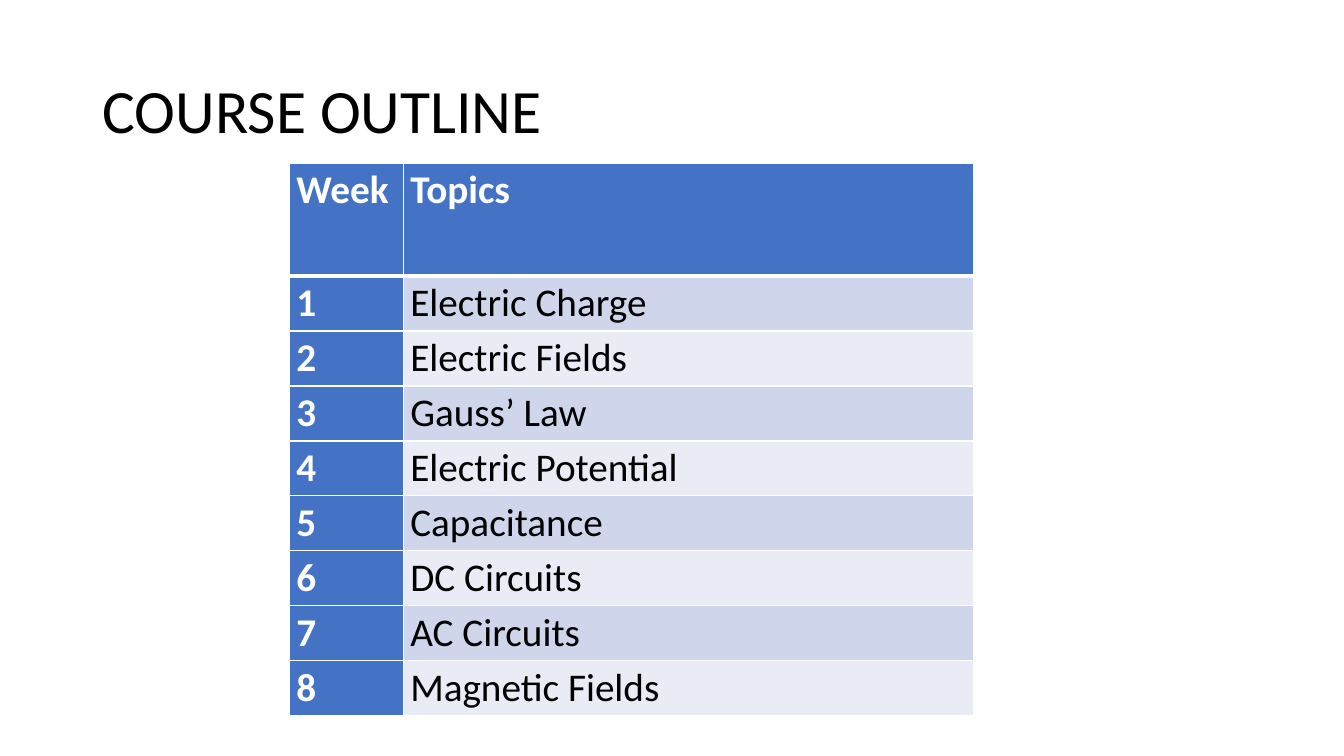
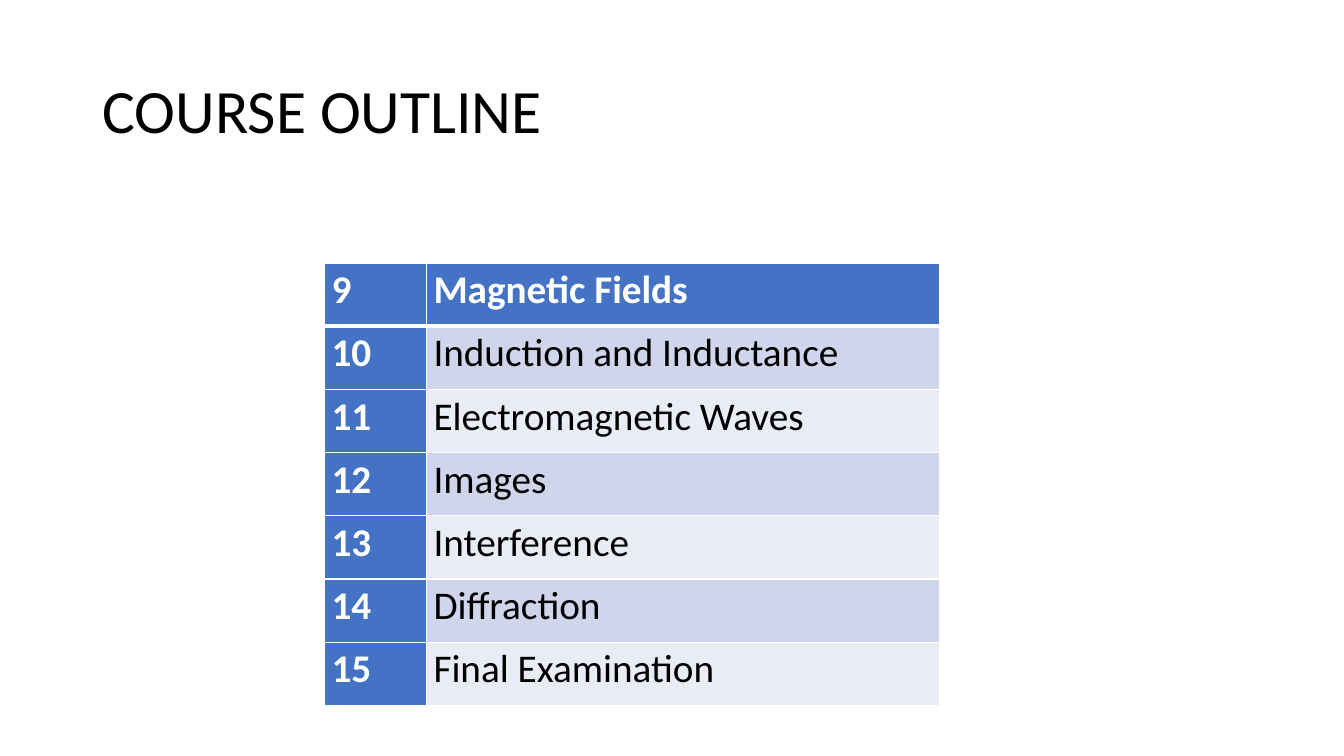
from lxml import etree
from pptx import Presentation
from pptx.dml.color import RGBColor
from pptx.enum.text import MSO_ANCHOR, PP_ALIGN
from pptx.oxml.ns import qn
from pptx.util import Inches, Pt

MIDDLE, TOP = MSO_ANCHOR.MIDDLE, MSO_ANCHOR.TOP
LEFT = PP_ALIGN.LEFT

FONT = "Calibri"
COLORS = {
    "text": "000000",
    "white": "FFFFFF",
    "accent": "4472C4",
    "odd_band": "CFD5EA",
    "even_band": "E9EBF5",
}
THIN, THICK = 1, 3

TITLE = "COURSE OUTLINE"
FIRST_HALF = [
    ("Week", "Topics"),
    ("1", "Electric Charge"),
    ("2", "Electric Fields"),
    ("3", "Gauss’ Law"),
    ("4", "Electric Potential"),
    ("5", "Capacitance"),
    ("6", "DC Circuits"),
    ("7", "AC Circuits"),
    ("8", "Magnetic Fields"),
]
SECOND_HALF = [
    ("9", "Magnetic Fields"),
    ("10", "Induction and Inductance"),
    ("11", "Electromagnetic Waves"),
    ("12", "Images"),
    ("13", "Interference"),
    ("14", "Diffraction"),
    ("15", "Final Examination"),
]


def rgb(name):
    return RGBColor.from_string(COLORS[name])


def write_text(frame, text, *, size, color="text", bold=False,
               line_spacing=1.0, space_after=0):
    paragraph = frame.paragraphs[0]
    paragraph.alignment = LEFT
    paragraph.line_spacing = line_spacing
    paragraph.space_after = Pt(space_after)
    run = paragraph.add_run()
    run.text = text
    run.font.name = FONT
    run.font.size = Pt(size)
    run.font.bold = bold
    run.font.color.rgb = rgb(color)


def add_title(slide, text):
    title = slide.shapes.add_textbox(
        Inches(0.92), Inches(0.4), Inches(11.5), Inches(1.45))
    frame = title.text_frame
    frame.word_wrap = True
    frame.vertical_anchor = MIDDLE
    write_text(frame, text, size=44, line_spacing=0.9)


def set_borders(cell, top, bottom):
    properties = cell._tc.get_or_add_tcPr()
    widths = {"a:lnL": THIN, "a:lnR": THIN, "a:lnT": top, "a:lnB": bottom}
    for tag, width in widths.items():
        line = etree.SubElement(properties, qn(tag), w=str(Pt(width)))
        fill = etree.SubElement(line, qn("a:solidFill"))
        etree.SubElement(fill, qn("a:srgbClr"), val=COLORS["white"])


def format_cell(cell, text, row, column):
    # Header row and week column share the accent; topics alternate
    heading = row == 0 or column == 0
    band = "odd_band" if row % 2 else "even_band"
    set_borders(cell, top=THICK if row == 1 else THIN,
                bottom=THICK if row == 0 else THIN)
    cell.fill.solid()
    cell.fill.fore_color.rgb = rgb("accent" if heading else band)
    cell.margin_left = cell.margin_right = Inches(0.07)
    cell.margin_top = cell.margin_bottom = 0
    cell.vertical_anchor = TOP
    write_text(cell.text_frame, text, size=28, bold=heading,
               color="white" if heading else "text",
               line_spacing=1.07, space_after=8)


def add_outline_table(slide, entries, left, top, column_widths, height,
                      header_height=None):
    frame = slide.shapes.add_table(
        len(entries), len(column_widths), Inches(left), Inches(top),
        Inches(sum(column_widths)), Inches(height))
    table = frame.table
    table.first_col = True
    for column, width in zip(table.columns, column_widths):
        column.width = Inches(width)

    # A taller header leaves the rest to be shared equally
    if header_height:
        row_height = (height - header_height) / (len(entries) - 1)
        for row in table.rows:
            row.height = Inches(row_height)
        table.rows[0].height = Inches(header_height)

    for row, entry in enumerate(entries):
        for column, text in enumerate(entry):
            format_cell(table.cell(row, column), text, row, column)


def add_outline_slide(presentation, entries, **layout):
    slide = presentation.slides.add_slide(presentation.slide_layouts[6])
    add_title(slide, TITLE)
    add_outline_table(slide, entries, **layout)


def main():
    presentation = Presentation()
    presentation.slide_width = Inches(13.33)
    presentation.slide_height = Inches(7.5)

    # Weeks 1 to 8
    add_outline_slide(presentation, FIRST_HALF, left=2.87, top=1.62,
                      column_widths=(1.13, 5.66), height=5.48,
                      header_height=1.12)
    # Weeks 9 to 15
    add_outline_slide(presentation, SECOND_HALF, left=3.22, top=2.61,
                      column_widths=(1.01, 5.09), height=4.39)

    presentation.save("out.pptx")


if __name__ == "__main__":
    main()
